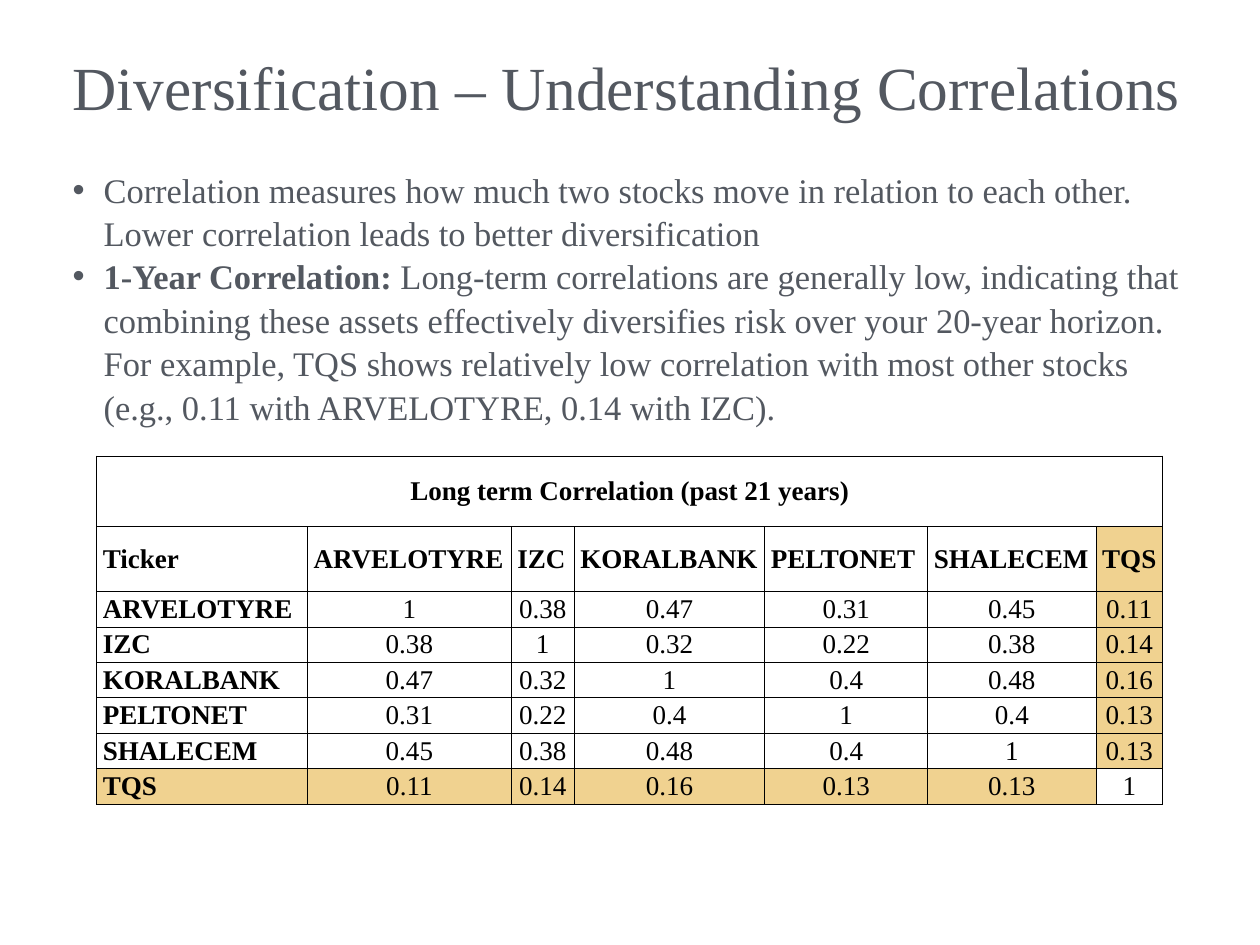
from lxml import etree
from pptx import Presentation
from pptx import util as u
from pptx.dml.color import RGBColor
from pptx.enum import text
from pptx.oxml import ns

FONT = "Times New Roman"
SLATE, BLACK, WHITE, GOLD = "535860", "000000", "FFFFFF", "F0D290"

TITLE = "Diversification – Understanding Correlations"
BULLETS = [  # (bold lead, remainder)
    ("", "Correlation measures how much two stocks move in relation to each other. "
         "Lower correlation leads to better diversification"),
    ("1-Year Correlation:",
     " Long-term correlations are generally low, indicating that combining these assets "
     "effectively diversifies risk over your 20-year horizon. For example, TQS shows "
     "relatively low correlation with most other stocks (e.g., 0.11 with ARVELOTYRE, "
     "0.14 with IZC)."),
]
TABLE_TITLE = "Long term Correlation (past 21 years)"
TICKERS = ["ARVELOTYRE", "IZC", "KORALBANK", "PELTONET", "SHALECEM", "TQS"]
CORRELATIONS = [
    (1, 0.38, 0.47, 0.31, 0.45, 0.11),
    (0.38, 1, 0.32, 0.22, 0.38, 0.14),
    (0.47, 0.32, 1, 0.4, 0.48, 0.16),
    (0.31, 0.22, 0.4, 1, 0.4, 0.13),
    (0.45, 0.38, 0.48, 0.4, 1, 0.13),
    (0.11, 0.14, 0.16, 0.13, 0.13, 1),
]
COL_WIDTHS = [2.38, 2.3, 0.71, 2.15, 1.84, 1.9, 0.75]
ROW_HEIGHTS = [0.8, 0.73] + [0.4] * len(TICKERS)


def color(value):
    return RGBColor.from_string(value)


def style(r, size, ink, bold=False):
    r.font.name, r.font.size, r.font.bold = FONT, u.Pt(size), bold
    r.font.color.rgb = color(ink)


def place(sp, top, height, anchor):
    sp.left, sp.top, sp.width, sp.height = map(u.Inches, (0.76, top, 12.69, height))
    tf = sp.text_frame
    tf.margin_left = tf.margin_right = tf.margin_top = tf.margin_bottom = u.Inches(0.06)
    tf.word_wrap, tf.auto_size = True, text.MSO_AUTO_SIZE.NONE
    tf.vertical_anchor = anchor
    return tf


def set_borders(cell, points=1):
    tcPr = cell._tc.get_or_add_tcPr()
    for side in ("lnL", "lnR", "lnT", "lnB"):
        ln = etree.SubElement(tcPr, ns.qn("a:" + side), w=str(u.Pt(points)))
        fill = etree.SubElement(ln, ns.qn("a:solidFill"))
        etree.SubElement(fill, ns.qn("a:srgbClr"), val=BLACK)


def add_title(slide):
    tf = place(slide.shapes.title, 0.42, 1.25, text.MSO_ANCHOR.MIDDLE)
    tf.text = TITLE
    p = tf.paragraphs[0]
    p.alignment, p.line_spacing = text.PP_ALIGN.LEFT, 0.8
    style(p.runs[0], 49.8, SLATE)


def add_bullets(slide):
    tf = place(slide.placeholders[1], 1.82, 6.58, text.MSO_ANCHOR.TOP)
    for i, parts in enumerate(BULLETS):
        p = tf.add_paragraph() if i else tf.paragraphs[0]
        p.line_spacing, p.space_before = 1.05, u.Pt(0)
        pPr = p._p.get_or_add_pPr()
        pPr.set("marL", str(u.Inches(0.35)))
        pPr.set("indent", str(-u.Inches(0.35)))
        for part, bold in zip(parts, (True, False)):
            if part:
                r = p.add_run()
                r.text = part
                style(r, 28, SLATE, bold)


def add_correlation_table(slide):
    rows = [[TABLE_TITLE] + [""] * len(TICKERS), ["Ticker"] + TICKERS]
    rows += [[name, *values] for name, values in zip(TICKERS, CORRELATIONS)]
    last_row, last_col = len(rows) - 1, len(TICKERS)

    frame = slide.shapes.add_table(
        len(rows), len(COL_WIDTHS), u.Inches(1.09), u.Inches(5.15),
        u.Inches(sum(COL_WIDTHS)), u.Inches(sum(ROW_HEIGHTS)))
    table = frame.table
    table.first_row = table.horz_banding = False
    for column, width in zip(table.columns, COL_WIDTHS):
        column.width = u.Inches(width)
    for row, height in zip(table.rows, ROW_HEIGHTS):
        row.height = u.Inches(height)
    table.cell(0, 0).merge(table.cell(0, last_col))

    for i, row in enumerate(rows):
        for j, value in enumerate(row):
            cell = table.cell(i, j)
            set_borders(cell)
            highlighted = i > 0 and (i == last_row) != (j == last_col)
            cell.fill.solid()
            cell.fill.fore_color.rgb = color(GOLD if highlighted else WHITE)
            cell.margin_left = cell.margin_right = u.Inches(0.07)
            cell.margin_top = cell.margin_bottom = 0
            cell.vertical_anchor = text.MSO_ANCHOR.MIDDLE
            if value == "":
                continue
            cell.text = str(value)
            p = cell.text_frame.paragraphs[0]
            is_label = i == 1 or (i > 1 and j == 0)
            p.alignment = text.PP_ALIGN.LEFT if is_label else text.PP_ALIGN.CENTER
            style(p.runs[0], 22, BLACK, bold=i < 2 or j == 0)


def main():
    prs = Presentation()
    prs.slide_width, prs.slide_height = u.Inches(14.22), u.Inches(10.67)
    slide = prs.slides.add_slide(prs.slide_layouts[1])
    add_title(slide)
    add_bullets(slide)
    add_correlation_table(slide)
    prs.save("out.pptx")


if __name__ == "__main__":
    main()
